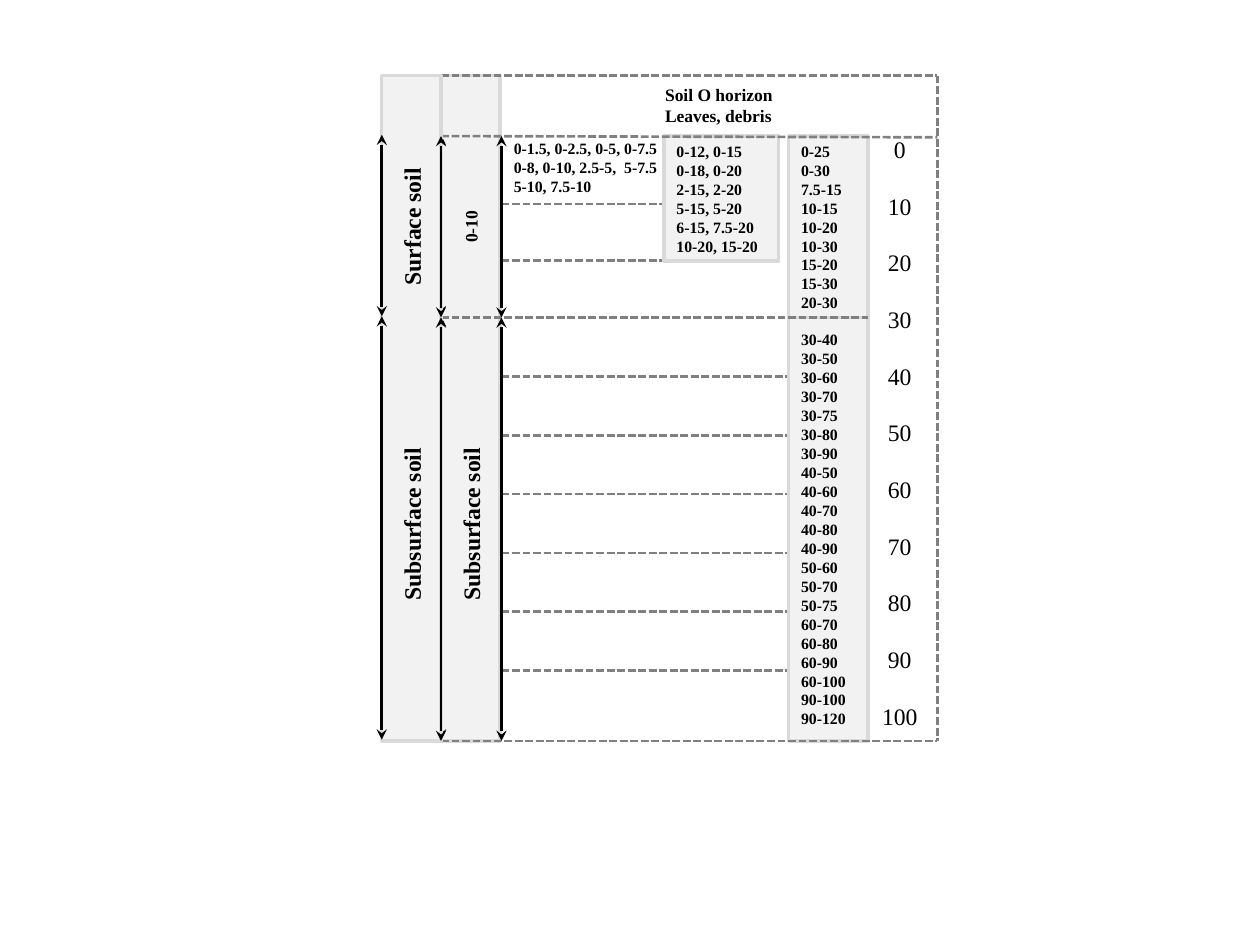
import dataclasses
import typing

import lxml.etree
import pptx
import pptx.dml.color
import pptx.enum.dml
import pptx.enum.shapes
import pptx.enum.text
import pptx.oxml.ns
import pptx.util

Inches = pptx.util.Inches
FONT = "Times New Roman"
BLACK, GRAY, LIGHT, BORDER = "000000", "808080", "F2F2F2", "D9D9D9"
TOP, GROUND, DIVIDE, BOTTOM = 0.6, 1.08, 2.52, 5.88
LEFT, MIDDLE, INNER, DEPTHS, RIGHT = 3.03, 3.5, 3.98, 6.26, 7.44
COLUMN_WIDTH = 0.47


@dataclasses.dataclass
class Panel:
    left: float
    top: float
    width: float
    height: float
    lines: typing.Sequence[str] = ()
    size: float = 9
    filled: bool = True


@dataclasses.dataclass
class ColumnLabel:
    text: str
    column: float
    center: float
    length: float
    size: float = 13.5


@dataclasses.dataclass
class Dash:
    start_x: float
    start_y: float
    end_x: float
    end_y: float


def color(value: str) -> pptx.dml.color.RGBColor:
    return pptx.dml.color.RGBColor.from_string(value)


def write(shape, lines: typing.Sequence[str], size: float, bold: bool = True,
          centered: bool = False) -> None:
    alignments = pptx.enum.text.PP_ALIGN
    shape.text_frame.text = "\n".join(lines)
    for paragraph in shape.text_frame.paragraphs:
        paragraph.alignment = alignments.CENTER if centered else alignments.LEFT
        for run in paragraph.runs:
            run.font.name = FONT
            run.font.size = pptx.util.Pt(size)
            run.font.bold = bold
            run.font.color.rgb = color(BLACK)


def add_text_box(left: float, top: float, width: float, height: float):
    shape = slide.shapes.add_textbox(Inches(left), Inches(top), Inches(width), Inches(height))
    shape.text_frame.word_wrap = True
    shape.text_frame.vertical_anchor = pptx.enum.text.MSO_ANCHOR.MIDDLE
    return shape


def add_panel(panel: Panel) -> None:
    if panel.filled:
        shape = slide.shapes.add_shape(
            pptx.enum.shapes.MSO_SHAPE.RECTANGLE,
            Inches(panel.left), Inches(panel.top), Inches(panel.width), Inches(panel.height))
        shape.shadow.inherit = False
        shape.fill.solid()
        shape.fill.fore_color.rgb = color(LIGHT)
        shape.line.color.rgb = color(BORDER)
        shape.line.width = pptx.util.Pt(2)
        shape.text_frame.vertical_anchor = pptx.enum.text.MSO_ANCHOR.MIDDLE
    else:
        shape = add_text_box(panel.left, panel.top, panel.width, panel.height)
    if panel.lines:
        write(shape, panel.lines, panel.size)


def add_line(start_x: float, start_y: float, end_x: float, end_y: float, line_color: str):
    connector = slide.shapes.add_connector(
        pptx.enum.shapes.MSO_CONNECTOR.STRAIGHT,
        Inches(start_x), Inches(start_y), Inches(end_x), Inches(end_y))
    connector.line.color.rgb = color(line_color)
    connector.line.width = pptx.util.Pt(1.5)
    properties = connector._element.spPr
    lxml.etree.SubElement(properties, pptx.oxml.ns.qn("a:effectLst"))
    return connector


def add_dash(dash: Dash) -> None:
    connector = add_line(dash.start_x, dash.start_y, dash.end_x, dash.end_y, GRAY)
    connector.line.dash_style = pptx.enum.dml.MSO_LINE.SQUARE_DOT


def add_range_arrows(x: float, shift: float = 0) -> None:
    for start, end in ((GROUND, DIVIDE), (DIVIDE, BOTTOM)):
        connector = add_line(x, start + shift, x, end + shift, BLACK)
        outline = connector.line._get_or_add_ln()
        for end_name in ("a:headEnd", "a:tailEnd"):
            lxml.etree.SubElement(outline, pptx.oxml.ns.qn(end_name), type="stealth")


def add_column_label(label: ColumnLabel) -> None:
    shape = add_text_box(label.column + (COLUMN_WIDTH - label.length) / 2,
                         label.center - COLUMN_WIDTH / 2, label.length, COLUMN_WIDTH)
    shape.rotation = 270
    write(shape, [label.text], label.size, centered=True)


def add_depth_scale() -> None:
    shape = slide.shapes.add_textbox(Inches(6.89), Inches(1.02), Inches(0.5), Inches(5.05))
    shape.text_frame.word_wrap = False
    write(shape, [str(depth) for depth in range(0, 101, 10)], 13.5, bold=False, centered=True)
    for paragraph in shape.text_frame.paragraphs[:-1]:
        paragraph.space_after = pptx.util.Pt(16.2)


presentation = pptx.Presentation()
presentation.slide_width = Inches(10)
presentation.slide_height = Inches(7.5)
slide = presentation.slides.add_slide(presentation.slide_layouts[6])

shallow = ["0-1.5, 0-2.5, 0-5, 0-7.5", "0-8, 0-10, 2.5-5,  5-7.5", "5-10, 7.5-10"]
medium = ["0-12, 0-15", "0-18, 0-20", "2-15, 2-20", "5-15, 5-20", "6-15, 7.5-20",
          "10-20, 15-20"]
surface = "0-25 0-30 7.5-15 10-15 10-20 10-30 15-20 15-30 20-30".split()
subsurface = ("30-40 30-50 30-60 30-70 30-75 30-80 30-90 40-50 40-60 40-70 40-80 "
              "40-90 50-60 50-70 50-75 60-70 60-80 60-90 60-100 90-100 90-120").split()
panels = [
    Panel(INNER, 1.09, 1.42, 0.47, shallow, filled=False),
    Panel(5.18, TOP, 1.09, 0.47, ["Soil O horizon", "Leaves, debris"], 10, filled=False),
    Panel(5.27, GROUND, 0.91, 0.99, medium),
    Panel(DEPTHS, GROUND, 0.63, DIVIDE - GROUND, surface),
    Panel(DEPTHS, DIVIDE, 0.63, BOTTOM - DIVIDE, subsurface),
]
depth_dashes = [Dash(INNER, 1.62, 5.31, 1.62), Dash(INNER, 2.07, 5.35, 2.07)]
for step in range(6):
    y = 2.99 + 0.466 * step
    depth_dashes.append(Dash(INNER, y, DEPTHS, y))
frame_dashes = [
    Dash(MIDDLE, BOTTOM, RIGHT, BOTTOM),
    Dash(RIGHT, TOP, RIGHT, BOTTOM),
    Dash(MIDDLE, GROUND, RIGHT, 1.09),
    Dash(MIDDLE, DIVIDE, 6.89, DIVIDE),
    Dash(MIDDLE, TOP, RIGHT, TOP),
]

add_panel(Panel(MIDDLE, TOP, COLUMN_WIDTH, BOTTOM - TOP))
add_depth_scale()
for dash in depth_dashes:
    add_dash(dash)
for panel in panels:
    add_panel(panel)
for dash in frame_dashes:
    add_dash(dash)

for column, title, title_size in ((MIDDLE, "0-10", 10), (LEFT, "Surface soil", 13.5)):
    if column == LEFT:
        add_panel(Panel(LEFT, TOP, COLUMN_WIDTH, BOTTOM - TOP))
    add_column_label(ColumnLabel(title, column, 1.8, 1.42, title_size))
    add_column_label(ColumnLabel("Subsurface soil", column, 4.16, 2.34))
    add_range_arrows(INNER if column == MIDDLE else MIDDLE)
    add_range_arrows(column, -0.01)

presentation.save("out.pptx")
